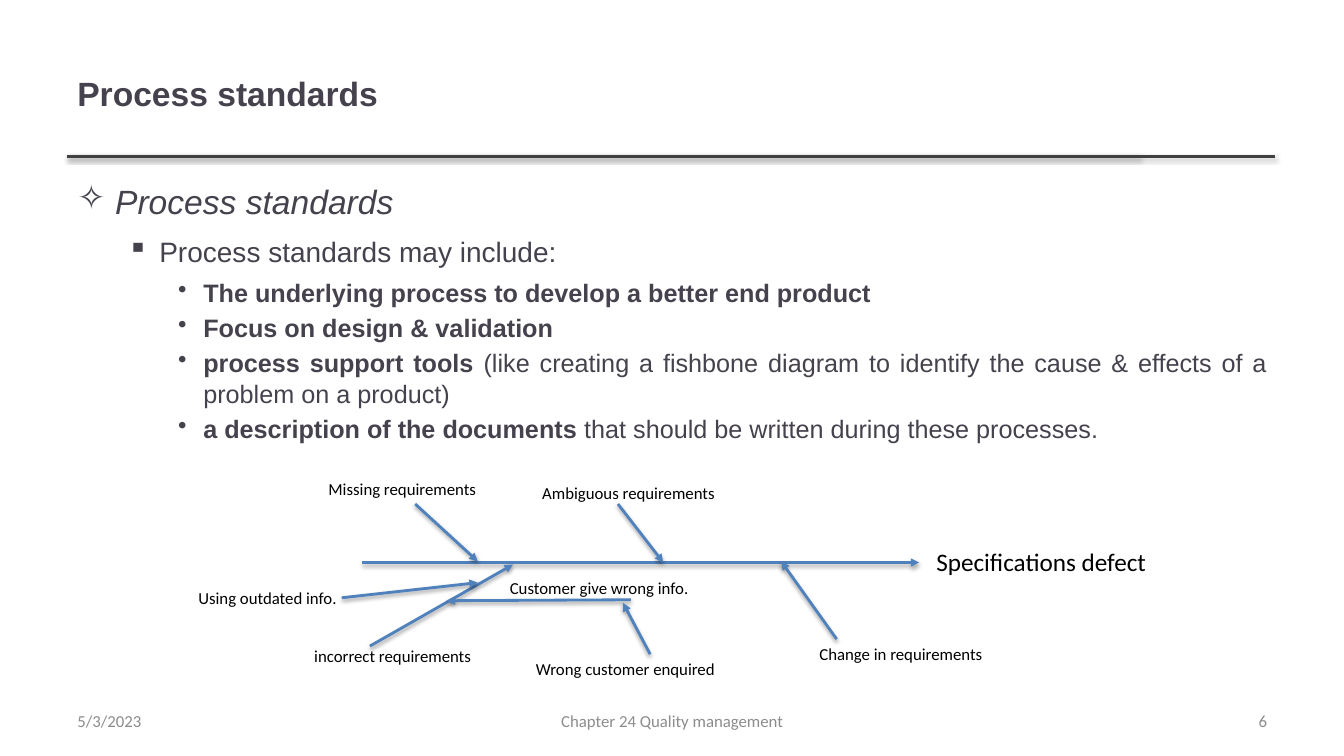
from lxml.etree import SubElement
from pptx import Presentation
from pptx.dml.color import RGBColor
from pptx.enum.shapes import MSO_CONNECTOR
from pptx.enum.text import MSO_ANCHOR, PP_ALIGN
from pptx.oxml import parse_xml
from pptx.oxml.ns import nsdecls, qn
from pptx.util import Pt

INK = RGBColor(0x46, 0x42, 0x4D)
RULE = RGBColor(0x40, 0x40, 0x40)
BONE = RGBColor(0x4F, 0x81, 0xBD)
GREY = RGBColor(0x8C, 0x8C, 0x8C)
BLACK = RGBColor(0, 0, 0)

SHADOW = f"""<a:effectLst {nsdecls("a")}>
<a:outerShdw blurRad="{Pt(3.1)}" dist="{Pt(1.6)}" dir="5400000" rotWithShape="0">
<a:srgbClr val="000000"><a:alpha val="38000"/></a:srgbClr>
</a:outerShdw></a:effectLst>"""

BULLET_LEVELS = [
    dict(sign="\u2727", size=24, margin=27, hang=27, before=6, after=6),
    dict(sign="\u25aa", size=20, margin=58.5, hang=22.5, before=3, after=3),
    dict(sign="\u2022", size=18, margin=90, hang=18, before=3.6, after=0),
]


class StandardsSlide:
    """Draws text, bullets and shadowed lines on one slide in a shared style."""

    def __init__(self, slide):
        self.shapes = slide.shapes

    def style(self, run, size, color, font="Calibri", bold=False, italic=False):
        run.font.name = font
        run.font.size = Pt(size)
        run.font.color.rgb = color
        run.font.bold = bold
        run.font.italic = italic

    def frame(self, left, top, width, height, anchor=MSO_ANCHOR.TOP):
        box = self.shapes.add_textbox(Pt(left), Pt(top), Pt(width), Pt(height))
        box.text_frame.word_wrap = True
        box.text_frame.vertical_anchor = anchor
        return box.text_frame

    def text(self, words, place, size, color, align=PP_ALIGN.LEFT,
             anchor=MSO_ANCHOR.TOP, **look):
        frame = self.frame(*place, anchor)
        frame.text = words
        paragraph = frame.paragraphs[0]
        paragraph.alignment = align
        self.style(paragraph.runs[0], size, color, **look)

    def bullets(self, items, place):
        frame = self.frame(*place)
        for index, (depth, strong, plain, italic) in enumerate(items):
            level = BULLET_LEVELS[depth]
            paragraph = frame.add_paragraph() if index else frame.paragraphs[0]
            paragraph.level = depth
            paragraph.alignment = PP_ALIGN.JUSTIFY
            paragraph.space_before = Pt(level["before"])
            paragraph.space_after = Pt(level["after"])
            properties = paragraph._p.get_or_add_pPr()
            properties.set("marL", str(Pt(level["margin"])))
            properties.set("indent", str(-Pt(level["hang"])))
            SubElement(properties, qn("a:buChar")).set("char", level["sign"])
            for words, bold in ((strong, True), (plain, False)):
                if words:
                    run = paragraph.add_run()
                    run.text = words
                    self.style(run, level["size"], INK, "Arial", bold, italic)

    def line(self, start, end, color, arrow=False):
        line = self.shapes.add_connector(
            MSO_CONNECTOR.STRAIGHT, *(Pt(value) for value in (*start, *end)))
        line.line.color.rgb = color
        line.line.width = Pt(2)
        if arrow:
            SubElement(line.line._get_or_add_ln(), qn("a:tailEnd")).set("type", "triangle")
        line._element.spPr.append(parse_xml(SHADOW))


deck = Presentation()
deck.slide_width, deck.slide_height = Pt(960), Pt(540)
page = StandardsSlide(deck.slides.add_slide(deck.slide_layouts[6]))

for rule_end in (815, 910.8):
    page.line((48.2, 111.6), (rule_end, 111.6), RULE)
page.text("Process standards", (48.2, 21.6, 765.4, 90), 24, INK,
          anchor=MSO_ANCHOR.MIDDLE, font="Arial", bold=True)

page.bullets([
    (0, "", "Process standards ", True),
    (1, "", "Process standards may include:", False),
    (2, "The underlying process to develop a better end product", "", False),
    (2, "Focus on design & validation", "", False),
    (2, "process support tools", " (like creating a fishbone diagram to identify "
     "the cause & effects of a problem on a product)", False),
    (2, "a description of the documents ",
     "that should be written during these processes.", False),
], (48.2, 126, 864, 187.2))

SPINE = 401.8
fishbone = [
    ((258.5, SPINE), (656.6, SPINE)),
    ((296.6, 360), (341.3, 401)),
    ((441.4, 360), (473.8, SPINE)),
    ((264.2, 461.5), (366.5, 403.2)),
    ((597.6, 456.5), (558, 401)),
    ((450.7, 428.4), (319, 429.1)),
    ((244.1, 427), (341.3, 416.2)),
    ((464.4, 467.3), (445, 430.6)),
]
for cause, effect in fishbone:
    page.line(cause, effect, BONE, arrow=True)

causes = [
    ("Missing requirements", 227.5, 338.4, 139.7),
    ("Ambiguous requirements", 380.2, 341.3, 139.7),
    ("Change in requirements", 578.2, 456.5, 139.7),
    ("incorrect requirements", 217.4, 457.9, 139.7),
    ("Using outdated info.", 134.6, 416.2, 139.7),
    ("Customer give wrong info.", 357.1, 409, 175.7),
    ("Wrong customer enquired", 375.8, 467.3, 175.7),
]
for cause, left, top, width in causes:
    page.text(cause, (left, top, width, 21.6), 12, BLACK)
page.text("Specifications defect", (661.7, 386.6, 186.5, 28.8), 18, BLACK)

footer = [
    ("5/3/2023", 48.2, 223.9, PP_ALIGN.LEFT),
    ("Chapter 24 Quality management", 328.3, 303.8, PP_ALIGN.CENTER),
    ("6", 688.3, 223.9, PP_ALIGN.RIGHT),
]
for words, left, width, align in footer:
    page.text(words, (left, 500.4, width, 28.8), 12, GREY, align, MSO_ANCHOR.MIDDLE)

deck.save("out.pptx")
